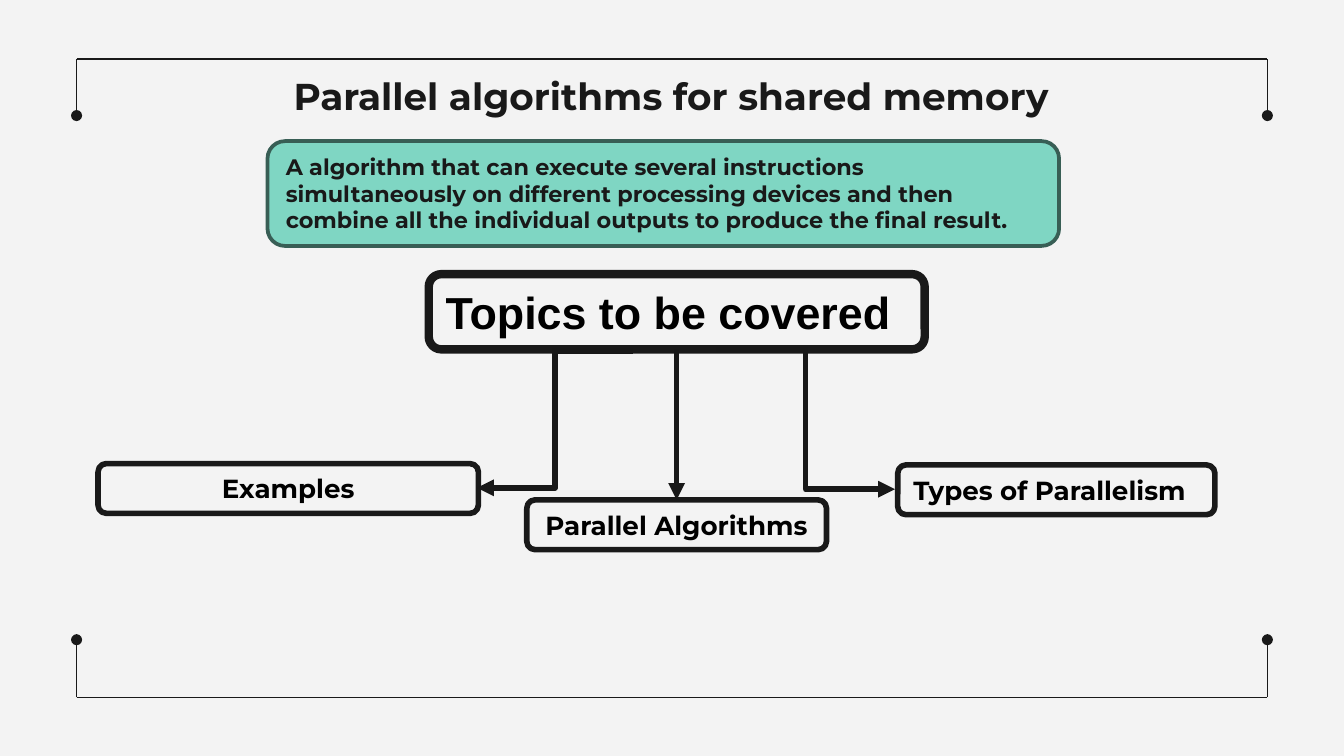
"""Build the slide on parallel algorithms for shared memory."""
from lxml import etree
from pptx import Presentation
from pptx.dml.color import RGBColor
from pptx.enum import shapes, text
from pptx.oxml import ns
from pptx.util import Inches, Pt

PAPER = RGBColor(0xF3, 0xF3, 0xF3)
INK = RGBColor(0x19, 0x19, 0x19)
ARROW = RGBColor(0x18, 0x18, 0x18)
BLACK = RGBColor(0, 0, 0)
MINT = RGBColor(0x7F, 0xD6, 0xC3)
PINE = RGBColor(0x38, 0x5E, 0x55)

LEFT, CENTER = text.PP_ALIGN.LEFT, text.PP_ALIGN.CENTER
STRAIGHT, ELBOW = shapes.MSO_CONNECTOR.STRAIGHT, shapes.MSO_CONNECTOR.ELBOW

WIDTH = 10
HEIGHT = WIDTH * 9 / 16
FRAME_LEFT, FRAME_RIGHT = 0.57, 9.43
FRAME_EDGES = [(0.44, 0.86), (5.19, 4.76)]

TITLE = "Parallel algorithms for shared memory"
DEFINITION = (
    "A algorithm that can execute several instructions simultaneously "
    "on different processing devices and then combine all the individual "
    "outputs to produce the final result."
)
BOXES = {
    "definition": (DEFINITION, (1.99, 1.05, 5.89, 0.78), MINT, PINE, 2,
                   "Montserrat", 12, INK, LEFT),
    "topics": ("Topics to be covered", (3.19, 2.04, 3.69, 0.56), None, INK, 4.5,
               "Arial", 24, BLACK, LEFT),
}
SUBTOPICS = [
    ("Types of Parallelism", (6.68, 3.46, 2.36, 0.37), LEFT),
    ("Examples", (0.73, 3.45, 2.83, 0.37), CENTER),
    ("Parallel Algorithms", (3.92, 3.72, 2.23, 0.37), CENTER),
]
for label, place, align in SUBTOPICS:
    BOXES[label] = (label, place, None, INK, 3, "Montserrat", 14, BLACK, align)
ELBOWS = [(5.33, 2.6, 6.66, 3.64), (4.71, 2.61, 3.55, 3.63)]


def write(shape, words, font_name, size, color, align, anchor):
    frame = shape.text_frame
    frame.word_wrap = True
    frame.vertical_anchor = anchor
    para = frame.paragraphs[0]
    para.text = words
    para.alignment = align
    para.font.name = font_name
    para.font.size = Pt(size)
    para.font.bold = True
    para.font.color.rgb = color


def add_box(page, words, place, fill, edge, weight, font_name, size, color, align):
    box = page.shapes.add_shape(
        shapes.MSO_SHAPE.ROUNDED_RECTANGLE, *map(Inches, place))
    box.shadow.inherit = False
    if fill is None:
        box.fill.background()
    else:
        box.fill.solid()
        box.fill.fore_color.rgb = fill
    box.line.color.rgb = edge
    box.line.width = Pt(weight)
    write(box, words, font_name, size, color, align, text.MSO_ANCHOR.TOP)
    return box


def add_line(page, kind, ends, color, weight, tail=None):
    line = page.shapes.add_connector(kind, *map(Inches, ends))
    line.line.color.rgb = color
    line.line.width = Pt(weight)
    if tail:
        outline = line._element.spPr.find(ns.qn("a:ln"))
        etree.SubElement(outline, ns.qn("a:tailEnd"), type=tail)
    etree.SubElement(line._element.spPr, ns.qn("a:effectLst"))
    return line


def main():
    deck = Presentation()
    deck.slide_width, deck.slide_height = Inches(WIDTH), Inches(HEIGHT)
    page = deck.slides.add_slide(deck.slide_layouts[6])
    page.background.fill.solid()
    page.background.fill.fore_color.rgb = PAPER

    for edge, tip in FRAME_EDGES:
        add_line(page, STRAIGHT, (FRAME_LEFT, edge, FRAME_RIGHT, edge), INK, 0.75)
        for side in (FRAME_LEFT, FRAME_RIGHT):
            add_line(page, STRAIGHT, (side, edge, side, tip), INK, 0.75, "oval")

    title = page.shapes.add_textbox(*map(Inches, (1.09, 0.46, 7.81, 0.52)))
    write(title, TITLE, "Montserrat", 20, INK, CENTER, text.MSO_ANCHOR.BOTTOM)
    title.text_frame.margin_top = title.text_frame.margin_bottom = Inches(0.1)

    boxes = {name: add_box(page, *details) for name, details in BOXES.items()}

    for ends in ELBOWS:
        add_line(page, ELBOW, ends, ARROW, 3, "triangle")
    middle = add_line(page, STRAIGHT, (5.03, 2.6, 5.03, 3.7), ARROW, 3, "triangle")
    middle.begin_connect(boxes["topics"], 2)
    middle.end_connect(boxes["Parallel Algorithms"], 0)

    deck.save("out.pptx")


if __name__ == "__main__":
    main()
